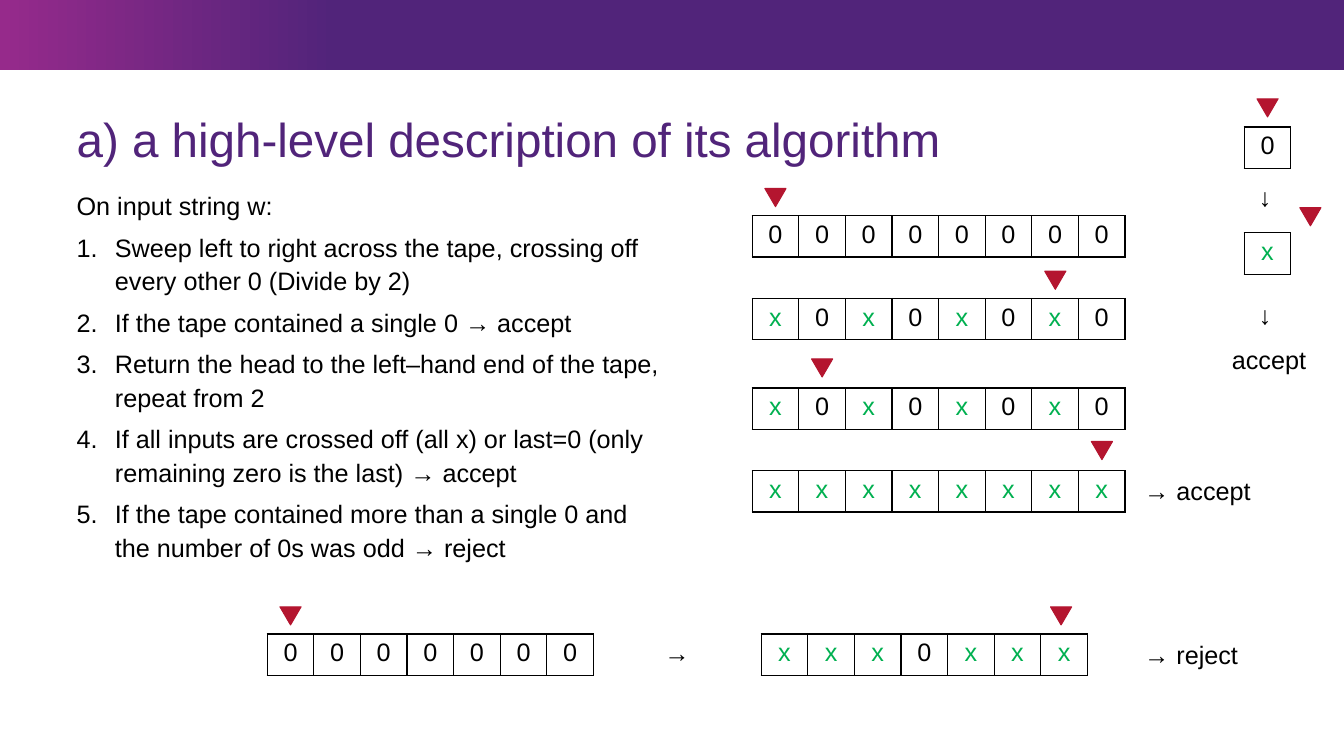
from lxml.etree import SubElement
from pptx import Presentation
from pptx.dml.color import RGBColor
from pptx.enum.shapes import MSO_SHAPE as SHAPE
from pptx.enum.text import MSO_ANCHOR as ANCHOR, PP_ALIGN as ALIGN
from pptx.oxml import parse_xml
from pptx.oxml.ns import nsdecls, qn
from pptx.util import Inches, Pt

BLACK = RGBColor(0x00, 0x00, 0x00)
WHITE = RGBColor(0xFF, 0xFF, 0xFF)
PURPLE = RGBColor(0x51, 0x24, 0x7A)
MAGENTA = RGBColor(0x96, 0x2A, 0x8B)
GREEN = RGBColor(0x00, 0xB0, 0x50)
RED = RGBColor(0xB4, 0x15, 0x2F)

CELL_W, CELL_H = 3.7 / 8, 0.41
HEAD_W, HEAD_H = 0.21, 0.18

STEPS = [
    "Sweep left to right across the tape, crossing off every other 0 (Divide by 2)",
    "If the tape contained a single 0 → accept",
    "Return the head to the left–hand end of the tape, repeat from 2",
    "If all inputs are crossed off (all x) or last=0 (only remaining zero is the last) → accept",
    "If the tape contained more than a single 0 and the number of 0s was odd → reject",
]


def write(paragraph, text, size=18, color=BLACK, align=None, spacing=None, gap=None):
    run = paragraph.add_run()
    run.text = text
    run.font.name = "Arial"
    run.font.size = Pt(size)
    run.font.color.rgb = color
    if align is not None:
        paragraph.alignment = align
    if spacing is not None:
        paragraph.line_spacing = spacing
    if gap is not None:
        paragraph.space_before = paragraph.space_after = Pt(gap)


def add_frame(slide, left, top, width, height, flush=False, rotation=0):
    box = slide.shapes.add_textbox(Inches(left), Inches(top), Inches(width), Inches(height))
    box.rotation = rotation
    frame = box.text_frame
    frame.word_wrap = True
    if flush:
        frame.margin_left = frame.margin_right = frame.margin_top = frame.margin_bottom = 0
    return frame


def add_label(slide, text, left, top, width, rotation=0):
    frame = add_frame(slide, left, top, width, 0.4, rotation=rotation)
    write(frame.paragraphs[0], text)


def add_banner(slide, left, top, width, height):
    banner = slide.shapes.add_shape(
        SHAPE.RECTANGLE, Inches(left), Inches(top), Inches(width), Inches(height))
    banner.shadow.inherit = False
    banner.line.fill.background()
    banner.fill.gradient()
    banner.fill.gradient_angle = 0
    for stop, color, position in zip(
            banner.fill.gradient_stops, (MAGENTA, PURPLE), (0, 0.25)):
        stop.color.rgb = color
        stop.position = position


def add_title(slide, left, top, width, height):
    frame = add_frame(slide, left, top, width, height, flush=True)
    frame.vertical_anchor = ANCHOR.MIDDLE
    write(frame.paragraphs[0], "a) a high-level description of its algorithm",
          size=34, color=PURPLE, spacing=0.9)


def add_algorithm(slide, left, top, width, height):
    frame = add_frame(slide, left, top, width, height, flush=True)
    write(frame.paragraphs[0], "On input string w:", spacing=1.1, gap=3)
    for step in STEPS:
        paragraph = frame.add_paragraph()
        write(paragraph, step, spacing=1.1, gap=3)
        properties = paragraph._p.get_or_add_pPr()
        properties.set("marL", str(Inches(0.38)))
        properties.set("indent", str(Inches(-0.38)))
        SubElement(properties, qn("a:buFont"), typeface="+mj-lt")
        SubElement(properties, qn("a:buAutoNum"), type="arabicPeriod")


def add_borders(cell):
    properties = cell._tc.get_or_add_tcPr()
    for index, side in enumerate(("lnL", "lnR", "lnT", "lnB")):
        properties.insert(index, parse_xml(
            f'<a:{side} {nsdecls("a")} w="{Pt(1)}"><a:solidFill>'
            f'<a:srgbClr val="{BLACK}"/></a:solidFill></a:{side}>'))


def add_head(slide, center, top):
    head = slide.shapes.add_shape(
        SHAPE.ISOSCELES_TRIANGLE, Inches(center - HEAD_W / 2), Inches(top),
        Inches(HEAD_W), Inches(HEAD_H))
    head.rotation = 180
    head.shadow.inherit = False
    head.fill.solid()
    head.fill.fore_color.rgb = RED
    head.line.color.rgb = RED
    head.line.width = Pt(0.75)


def add_tape(slide, symbols, left, top, head, lift=0.27):
    tape = slide.shapes.add_table(
        1, len(symbols), Inches(left), Inches(top),
        Inches(CELL_W * len(symbols)), Inches(CELL_H)).table
    tape.first_row = tape.horz_banding = False
    for column, symbol in enumerate(symbols):
        tape.columns[column].width = Inches(CELL_W)
        cell = tape.cell(0, column)
        cell.fill.solid()
        cell.fill.fore_color.rgb = WHITE
        add_borders(cell)
        write(cell.text_frame.paragraphs[0], symbol,
              color=GREEN if symbol == "x" else BLACK, align=ALIGN.CENTER)
    add_head(slide, left + (head + 0.5) * CELL_W, top - lift)


def add_accepting_run(slide, left, top):
    add_tape(slide, "00000000", left, top, head=0)
    add_tape(slide, "x0x0x0x0", left, top + 0.82, head=6)
    add_tape(slide, "x0x0x0x0", left, top + 1.71, head=1, lift=0.29)
    add_tape(slide, "xxxxxxxx", left, top + 2.53, head=7, lift=0.29)
    add_label(slide, "→ accept", left + 3.79, top + 2.53, 1.59)


def add_rejecting_run(slide, left, top):
    add_tape(slide, "0000000", left, top, head=0)
    add_label(slide, "→", left + 3.84, top - 0.02, 0.86)
    add_tape(slide, "xxx0xxx", left + 4.9, top, head=5.93)
    add_label(slide, "→ reject", left + 8.6, top, 1.59)


def add_single_zero_run(slide, left, top):
    add_tape(slide, "0", left, top, head=0, lift=0.28)
    add_label(slide, "→", left - 0.53, top + 1.1, 1.59, rotation=90)
    add_tape(slide, "x", left, top + 1.05, head=0.92, lift=0.25)
    add_label(slide, "→", left - 0.53, top + 2.27, 1.59, rotation=90)
    add_label(slide, "accept", left - 0.22, top + 2.11, 1.13)


def main():
    deck = Presentation()
    deck.slide_width, deck.slide_height = Inches(13.33), Inches(7.5)
    slide = deck.slides.add_slide(deck.slide_layouts[6])
    add_banner(slide, 0, 0, 13.33, 0.69)
    add_algorithm(slide, 0.76, 1.86, 5.81, 5.04)
    add_title(slide, 0.76, 1.15, 11.81, 0.51)
    add_accepting_run(slide, 7.46, 2.14)
    add_rejecting_run(slide, 2.65, 6.29)
    add_single_zero_run(slide, 12.34, 1.26)
    deck.save("out.pptx")


if __name__ == "__main__":
    main()
